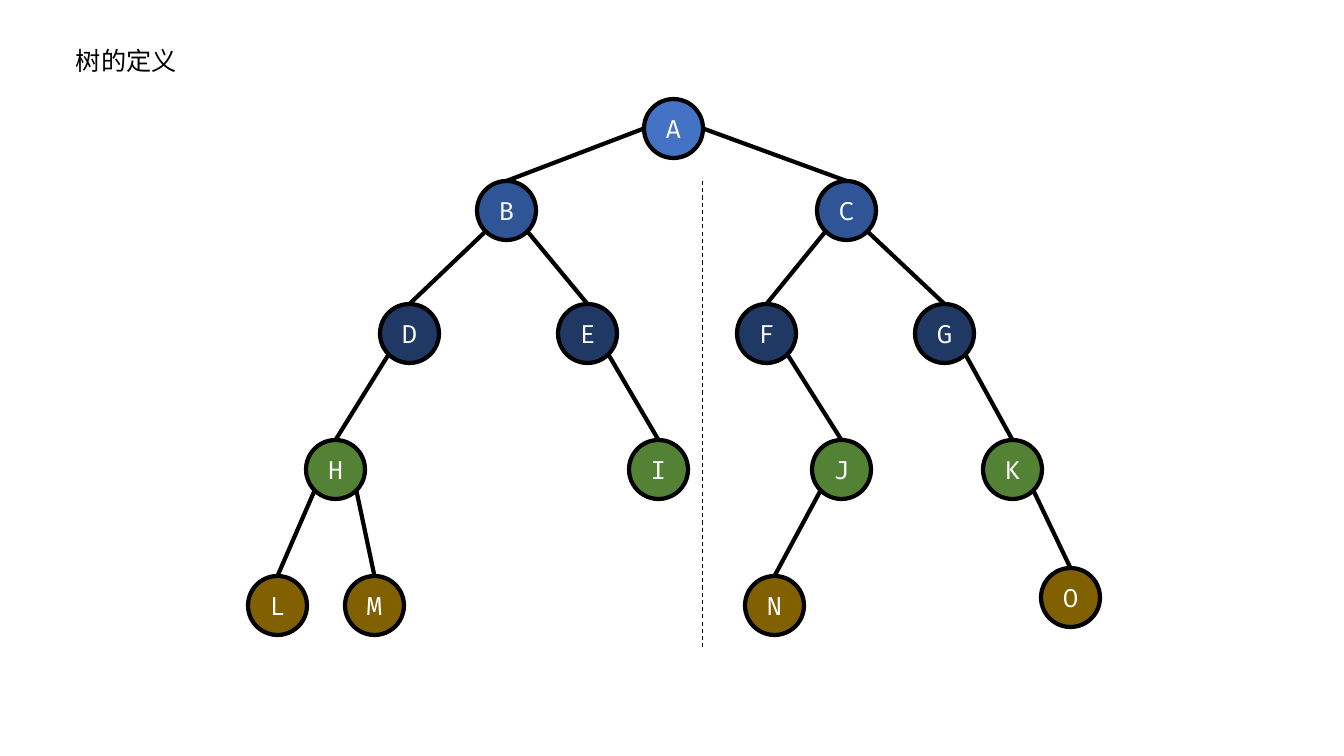
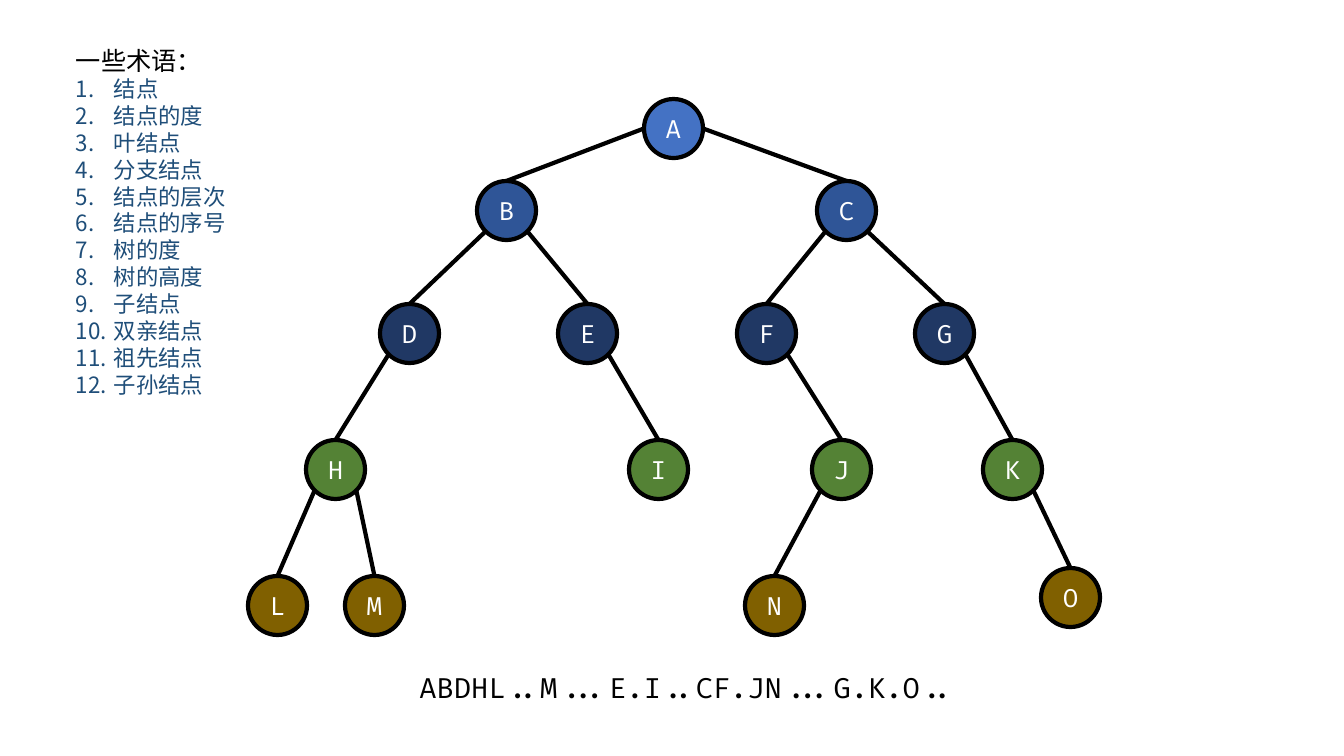
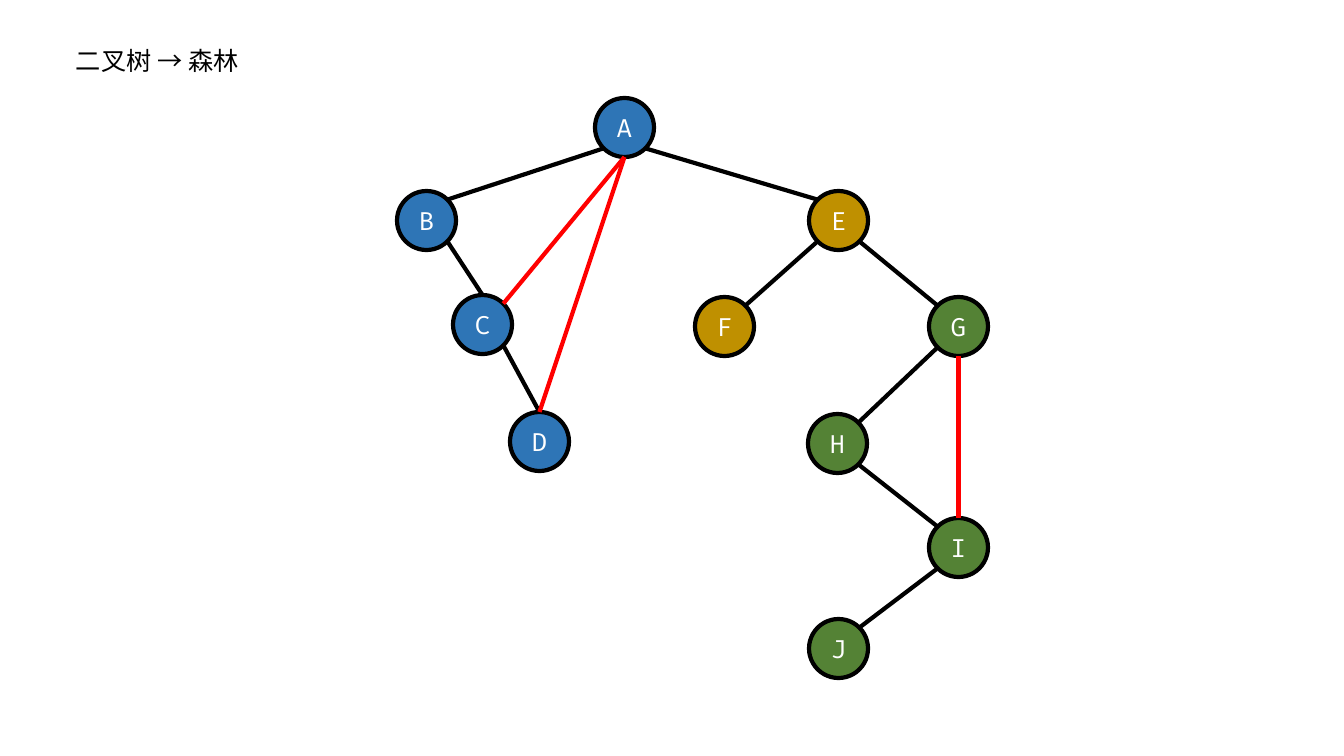
from math import sqrt

from lxml import etree
from pptx import Presentation
from pptx.dml.color import RGBColor
from pptx.enum.dml import MSO_LINE
from pptx.enum.shapes import MSO_CONNECTOR, MSO_SHAPE
from pptx.enum.text import MSO_ANCHOR, MSO_AUTO_SIZE, PP_ALIGN
from pptx.oxml.ns import qn
from pptx.util import Emu, Pt

STRAIGHT, ELLIPSE = MSO_CONNECTOR.STRAIGHT, MSO_SHAPE.OVAL
CENTER, LEFT = PP_ALIGN.CENTER, PP_ALIGN.LEFT
MIDDLE, GROW = MSO_ANCHOR.MIDDLE, MSO_AUTO_SIZE.SHAPE_TO_FIT_TEXT
DASH = MSO_LINE.DASH

# Shared style
PX = 914400 / 100.8
WIDTH, HEIGHT = 1344, 756
NODE = 59
CODE_FONT, TEXT_FONT = "Fira Code", "Noto Sans CJK SC"
BLACK, WHITE, RED, NAVY = "000000", "FFFFFF", "FF0000", "1F4E79"
ROOT, LEVEL_2, LEVEL_3 = "4472C4", "2F5597", "203864"
GREEN, BROWN, BLUE, GOLD = "548235", "806000", "2E75B6", "BF9000"

# Nodes: fill -> {label: (left, top)}
BINARY_NODES = {
    ROOT: {"A": (644, 99)},
    LEVEL_2: {"B": (477, 181), "C": (817, 181)},
    LEVEL_3: {"D": (380, 304), "E": (558, 304), "F": (737, 304), "G": (915, 304)},
    GREEN: {"H": (306, 440), "I": (629, 440), "J": (812, 440), "K": (983, 440)},
    BROWN: {"L": (248, 576), "M": (345, 576), "N": (745, 576), "O": (1041, 568)},
}
FOREST_NODES = {
    BLUE: {"A": (595, 98), "B": (397, 191), "C": (453, 295), "D": (510, 412)},
    GOLD: {"E": (809, 191), "F": (695, 297)},
    GREEN: {"G": (929, 297), "H": (808, 414), "I": (929, 518), "J": (809, 619)},
}

# Edges: from, side, to, side
BINARY_EDGES = [("A", "left", "B", "top"), ("A", "right", "C", "top")] + [
    (parent, side, child, "top")
    for side, pairs in (("bottom left", "BD CF DH HL JN"),
                        ("bottom right", "BE CG HM EI FJ GK KO"))
    for parent, child in pairs.split()
]
FOREST_EDGES = [
    ("A", "bottom left", "B", "top right"),
    ("A", "bottom right", "E", "top left"),
    ("B", "bottom right", "C", "top"),
    ("C", "bottom right", "D", "top"),
    ("E", "bottom left", "F", "top right"),
    ("E", "bottom right", "G", "top left"),
    ("G", "bottom left", "H", "top right"),
    ("H", "bottom right", "I", "top left"),
    ("I", "bottom left", "J", "top right"),
]
SIBLING_EDGES = [
    ("A", "bottom", "C", "top right"),
    ("A", "bottom", "D", "top"),
    ("G", "bottom", "I", "top"),
]

TERMS = ["结点", "结点的度", "叶结点", "分支结点", "结点的层次", "结点的序号",
         "树的度", "树的高度", "子结点", "双亲结点", "祖先结点", "子孙结点"]
PREORDER = "ABDHL..M...E.I..CF.JN...G.K.O.."


def px(n):
    return Emu(round(n * PX))


def rgb(value):
    return RGBColor.from_string(value)


def add_run(p, text, size, color, font):
    r = p.add_run()
    r.text = text
    r.font.size, r.font.name = Pt(size), font
    r.font.color.rgb = rgb(color)
    etree.SubElement(r.font._element, qn("a:ea"), typeface=font)


def add_text(slide, box, text, size, font, align=LEFT):
    sp = slide.shapes.add_textbox(*map(px, box))
    tf = sp.text_frame
    tf.word_wrap, tf.auto_size = True, GROW
    p = tf.paragraphs[0]
    p.alignment = align
    add_run(p, text, size, BLACK, font)
    return tf


def add_title(slide, text, height=40):
    return add_text(slide, (66, 40, 198, height), text, 18, TEXT_FONT)


def add_numbered(tf, items):
    for item in items:
        p = tf.add_paragraph()
        pPr = p._p.get_or_add_pPr()
        pPr.set("marL", str(px(38)))
        pPr.set("indent", str(-px(38)))
        etree.SubElement(pPr, qn("a:buFont"), typeface=TEXT_FONT)
        etree.SubElement(pPr, qn("a:buAutoNum"), type="arabicPeriod")
        add_run(p, item, 16, NAVY, TEXT_FONT)


def add_line(slide, start, end, color=BLACK, width=3, dash=None):
    line = slide.shapes.add_connector(STRAIGHT, *map(px, (*start, *end)))
    line.line.color.rgb = rgb(color)
    line.line.width = Pt(width)
    if dash:
        line.line.dash_style = dash
    etree.SubElement(line._element.spPr, qn("a:effectLst"))


def add_node(slide, label, left, top, fill):
    sp = slide.shapes.add_shape(ELLIPSE, *map(px, (left, top, NODE, NODE)))
    sp.shadow.inherit = False
    sp.fill.solid()
    sp.fill.fore_color.rgb = rgb(fill)
    sp.line.color.rgb = rgb(BLACK)
    sp.line.width = Pt(3)
    tf = sp.text_frame
    tf.word_wrap, tf.vertical_anchor = False, MIDDLE
    p = tf.paragraphs[0]
    p.alignment = CENTER
    add_run(p, label, 18, WHITE, CODE_FONT)


def rim_point(corner, side):
    """Point on a node's circle in the named direction."""
    dx = ("right" in side) - ("left" in side)
    dy = ("bottom" in side) - ("top" in side)
    reach = NODE / 2 / sqrt(dx * dx + dy * dy)
    left, top = corner
    return left + NODE / 2 + dx * reach, top + NODE / 2 + dy * reach


def add_tree(slide, nodes, *edge_sets):
    corners = {}
    for fill, group in nodes.items():
        corners.update(group)
        for label, (left, top) in group.items():
            add_node(slide, label, left, top, fill)
    for color, edges in edge_sets:
        for start, side, end, end_side in edges:
            add_line(slide, rim_point(corners[start], side),
                     rim_point(corners[end], end_side), color)


def main():
    prs = Presentation()
    prs.slide_width, prs.slide_height = px(WIDTH), px(HEIGHT)
    definition, terms, forest = (
        prs.slides.add_slide(prs.slide_layouts[6]) for _ in range(3))

    # Definition of a tree
    add_tree(definition, BINARY_NODES, (BLACK, BINARY_EDGES))
    add_line(definition, (703, 181), (703, 650), width=0.75, dash=DASH)
    add_title(definition, "树的定义")

    # Terms
    add_tree(terms, BINARY_NODES, (BLACK, BINARY_EDGES))
    add_text(terms, (290, 666, 794, 44), PREORDER, 20, CODE_FONT, CENTER)
    add_numbered(add_title(terms, "一些术语：", 373), TERMS)

    # Binary tree to forest
    add_title(forest, "二叉树 → 森林")
    add_tree(forest, FOREST_NODES, (BLACK, FOREST_EDGES), (RED, SIBLING_EDGES))

    prs.save("out.pptx")


if __name__ == "__main__":
    main()
